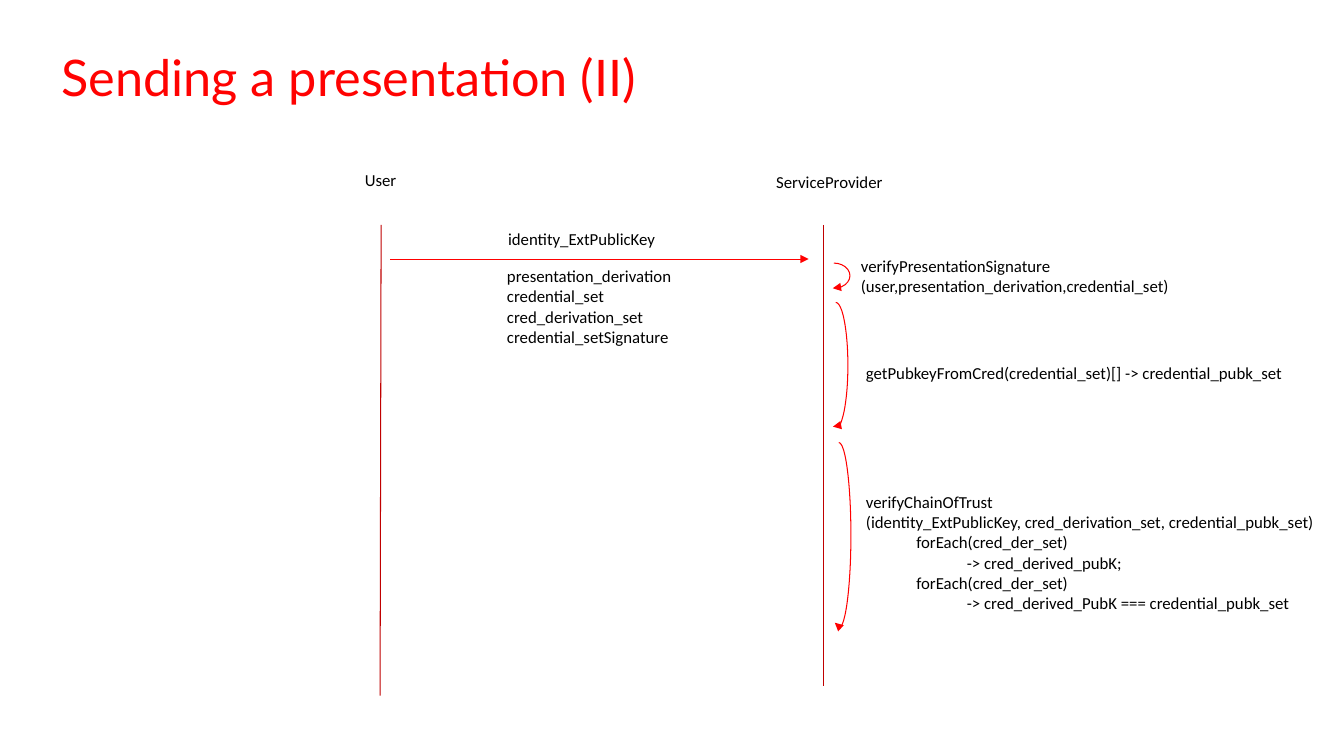
from dataclasses import dataclass

from lxml import etree
from pptx import Presentation
from pptx import util as u
from pptx.dml.color import RGBColor
from pptx.enum import shapes, text
from pptx.oxml import ns


@dataclass(frozen=True)
class Theme:
    title_font: str = "Lato"
    body_font: str = "Calibri"
    title_size: int = 36
    body_size: int = 12
    line_width: float = 0.75
    title_color: str = "FF0201"
    text_color: str = "000000"
    lifeline_color: str = "C00000"
    call_color: str = "FF0000"


class SequenceSlide:
    def __init__(self, slide, theme):
        self.slide = slide
        self.theme = theme

    def text_box(self, left, top, width, height):
        box = self.slide.shapes.add_textbox(*map(u.Inches, (left, top, width, height)))
        frame = box.text_frame
        frame.auto_size = text.MSO_AUTO_SIZE.SHAPE_TO_FIT_TEXT
        return frame

    def style_text(self, frame, font, size, color):
        for paragraph in frame.paragraphs:
            for run in paragraph.runs:
                run.font.name = font
                run.font.size = u.Pt(size)
                run.font.color.rgb = RGBColor.from_string(color)

    def title(self, words, left, top, width, height):
        frame = self.text_box(left, top, width, height)
        frame.word_wrap = True
        frame.margin_left = frame.margin_right = frame.margin_top = frame.margin_bottom = 0
        frame.text = words
        self.style_text(frame, self.theme.title_font, self.theme.title_size, self.theme.title_color)

    def label(self, lines, left, top, width, height, indent_from=None):
        """Place unwrapped lines; those from index indent_from on are indented."""
        frame = self.text_box(left, top, width, height)
        frame.word_wrap = False
        frame.text = "\n".join(lines)
        if indent_from is not None:
            for paragraph in frame.paragraphs[indent_from:]:
                paragraph.level = 1
                properties = paragraph._p.get_or_add_pPr()
                properties.set("marL", str(u.Inches(0.5)))
                properties.set("indent", "0")
        self.style_text(frame, self.theme.body_font, self.theme.body_size, self.theme.text_color)

    def style_line(self, shape, color, arrow):
        shape.line.color.rgb = RGBColor.from_string(color)
        shape.line.width = u.Pt(self.theme.line_width)
        if arrow:
            outline = shape.line._get_or_add_ln()
            etree.SubElement(outline, ns.qn("a:tailEnd"), type="triangle")

    def line(self, start, end, color, arrow=False):
        connector = self.slide.shapes.add_connector(
            shapes.MSO_CONNECTOR.STRAIGHT, *map(u.Inches, (*start, *end))
        )
        self.style_line(connector, color, arrow)
        etree.SubElement(connector._element.spPr, ns.qn("a:effectLst"))

    def lifeline(self, start, end):
        self.line(start, end, self.theme.lifeline_color)

    def message(self, start, end):
        self.line(start, end, self.theme.call_color, arrow=True)

    def self_call(self, left, top, width, height, end_angle):
        """Draw an arc from the top of its ellipse to end_angle (100000 units each)."""
        arc = self.slide.shapes.add_shape(
            shapes.MSO_SHAPE.ARC, *map(u.Inches, (left, top, width, height))
        )
        arc.adjustments[0] = 162
        arc.adjustments[1] = end_angle
        arc.shadow.inherit = False
        arc.fill.background()
        self.style_line(arc, self.theme.call_color, arrow=True)


def main():
    presentation = Presentation()
    presentation.slide_width = u.Inches(13.33)
    presentation.slide_height = u.Inches(7.5)
    slide = presentation.slides.add_slide(presentation.slide_layouts[6])
    diagram = SequenceSlide(slide, Theme())

    diagram.title("Sending a presentation (II)", 0.61, 0.46, 8.34, 0.61)

    diagram.lifeline((3.78, 2.23), (3.77, 6.9))
    diagram.lifeline((8.17, 2.23), (8.17, 6.81))
    diagram.message((3.87, 2.57), (8.02, 2.57))

    for self_call in (
        (8.11, 2.61, 0.32, 0.25, 56.82),
        (8.17, 3, 0.24, 1.25, 55.58),
        (8.2, 4.39, 0.24, 1.84, 55.58),
    ):
        diagram.self_call(*self_call)

    diagram.label(["User"], 3.52, 1.63, 0.52, 0.3)
    diagram.label(["ServiceProvider"], 7.6, 1.65, 1.27, 0.3)
    diagram.label(["identity_ExtPublicKey"], 4.94, 2.22, 1.68, 0.3)
    diagram.label(
        [
            "presentation_derivation",
            "credential_set",
            "cred_derivation_set",
            "credential_setSignature",
        ],
        4.93, 2.59, 1.85, 0.91,
    )
    diagram.label(
        ["verifyPresentationSignature", "(user,presentation_derivation,credential_set)"],
        8.44, 2.49, 3.4, 0.5,
    )
    diagram.label(
        ["getPubkeyFromCred(credential_set)[] -> credential_pubk_set"],
        8.49, 3.55, 4.41, 0.3,
    )
    diagram.label(
        [
            "verifyChainOfTrust",
            "(identity_ExtPublicKey, cred_derivation_set, credential_pubk_set)",
            "forEach(cred_der_set)",
            "\t-> cred_derived_pubK;",
            "forEach(cred_der_set)",
            "\t-> cred_derived_PubK === credential_pubk_set",
        ],
        8.49, 4.83, 4.69, 1.31,
        indent_from=2,
    )

    presentation.save("out.pptx")


if __name__ == "__main__":
    main()
